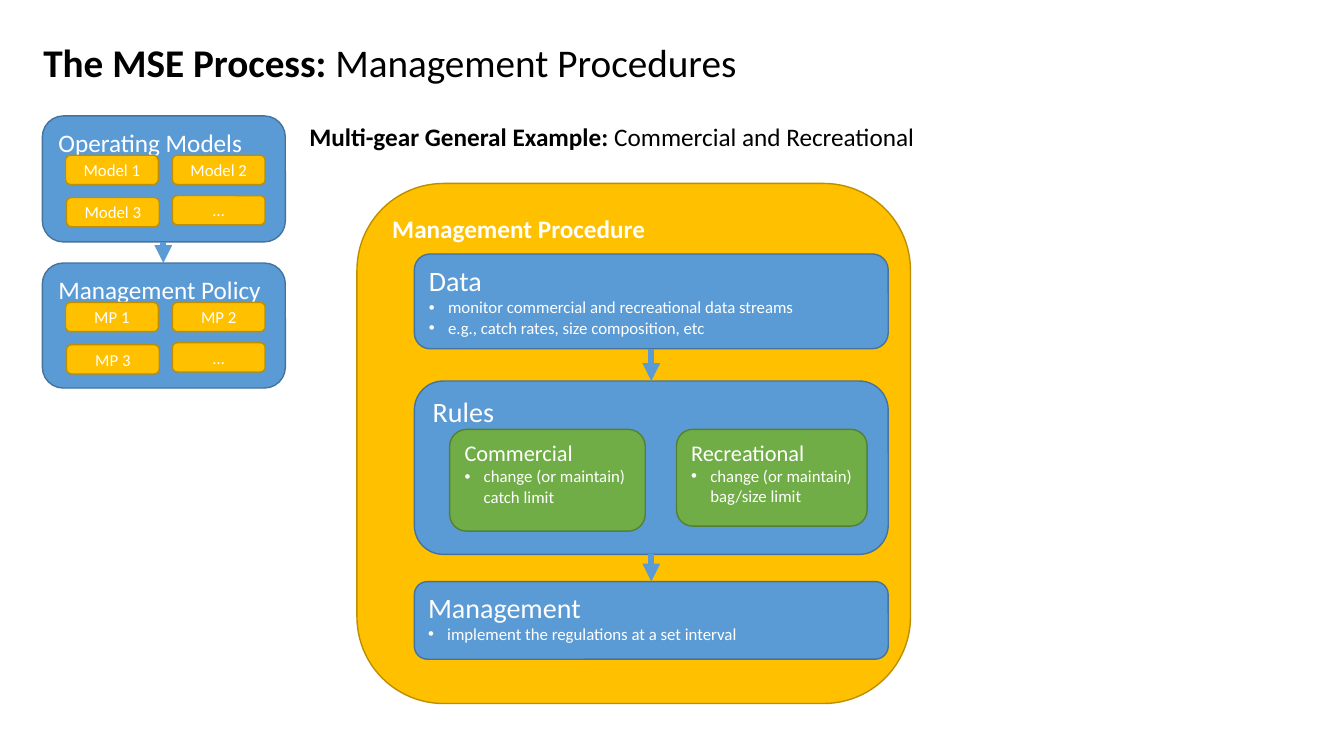
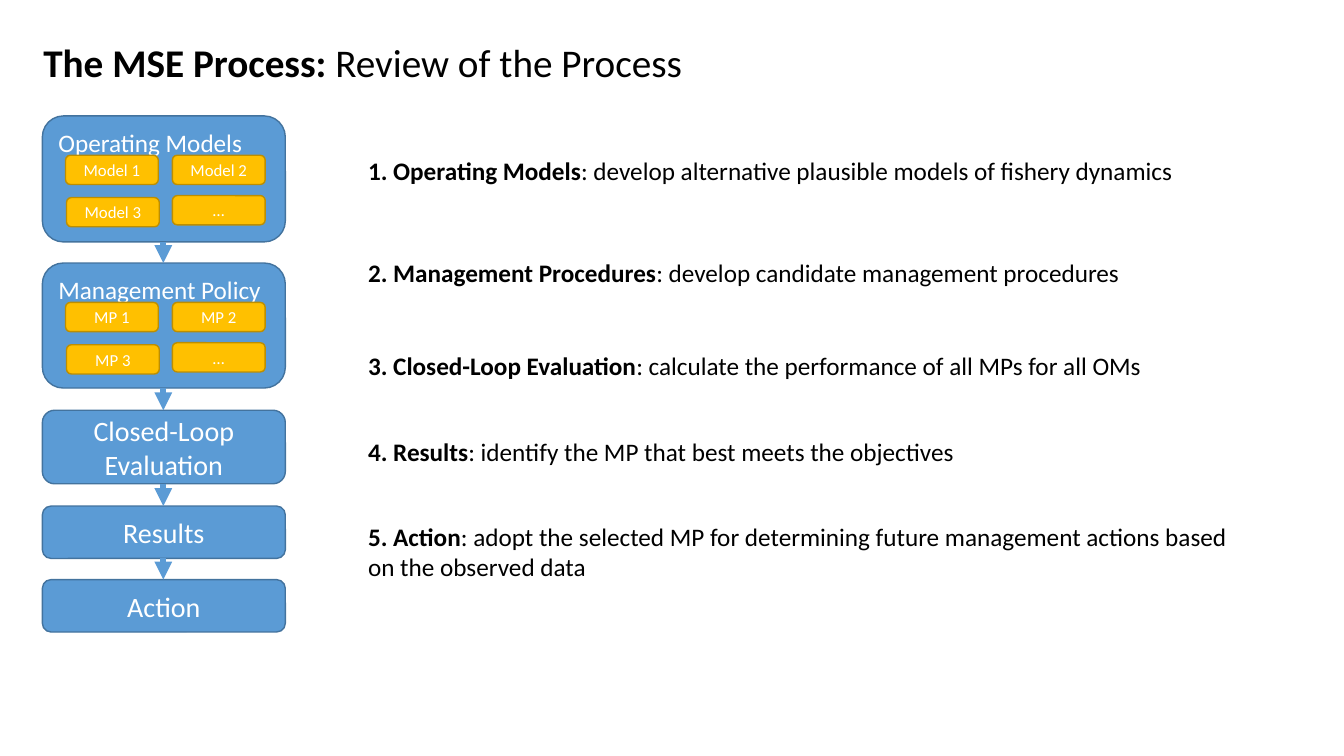
from dataclasses import dataclass
from itertools import pairwise
from typing import NamedTuple

from lxml import etree
from pptx import Presentation
from pptx import slide as sl
from pptx.dml import color
from pptx.enum import shapes, text
from pptx.oxml import ns
from pptx.shapes import autoshape, shapetree
from pptx.text import text as tx
from pptx.util import Inches, Pt

FONT = "Calibri"
COLORS = {
    "black": "000000", "white": "FFFFFF",
    "blue": "5B9BD5", "blue_line": "43739E",
    "gold": "FFC000", "gold_line": "BD8E00",
    "green": "70AD47", "green_line": "538035",
}
TITLE_ONLY, TITLE_AND_CONTENT = 5, 1
PANEL_LEFT, PANEL_WIDTH = 0.42, 2.41
FLOW_X, PROCEDURE_X = 1.62, 6.46
TILE_WIDTH, TILE_HEIGHT = 0.92, 0.29
TILE_OFFSETS = ((0.23, 0.39), (1.29, 0.39), (0.24, 0.81), (1.29, 0.79))
BODY_SIZE = 18
LINE_HEIGHT = 0.305


class Area(NamedTuple):
    left: float
    top: float
    width: float
    height: float

    @property
    def bottom(self) -> float:
        return self.top + self.height


@dataclass(frozen=True)
class Box:
    area: Area
    heading: str
    size: int = 20
    tone: str = "blue"
    bold: bool = False
    centered: bool = False
    bullets: tuple[str, ...] = ()


@dataclass(frozen=True)
class Panel:
    area: Area
    heading: str
    tiles: tuple[str, ...]


class Step(NamedTuple):
    top: float
    name: str
    description: str


PANELS = (
    Panel(Area(PANEL_LEFT, 1.15, PANEL_WIDTH, 1.25), "Operating Models",
          ("Model 1", "Model 2", "Model 3", "…")),
    Panel(Area(PANEL_LEFT, 2.61, PANEL_WIDTH, 1.24), "Management Policy",
          ("MP 1", "MP 2", "MP 3", "…")),
)
PROCEDURE = Box(Area(3.54, 1.82, 5.49, 5.16), "Management Procedure",
                size=18, tone="gold", bold=True)
PROCEDURE_STAGES = (
    Box(Area(4.11, 2.52, 4.7, 0.94), "Data", bullets=(
        "monitor commercial and recreational data streams",
        "e.g., catch rates, size composition, etc")),
    Box(Area(4.11, 3.78, 4.7, 1.72), "Rules"),
    Box(Area(4.11, 5.77, 4.7, 0.77), "Management",
        bullets=("implement the regulations at a set interval",)),
)
RULES = (
    Box(Area(4.46, 4.26, 1.94, 1.01), "Commercial", size=16, tone="green",
        bullets=("change (or maintain) catch limit",)),
    Box(Area(6.71, 4.26, 1.89, 0.96), "Recreational", size=16, tone="green",
        bullets=("change (or maintain) bag/size limit",)),
)
FINAL_STAGES = (
    Box(Area(PANEL_LEFT, 4.07, PANEL_WIDTH, 0.73), "Closed-Loop Evaluation", centered=True),
    Box(Area(PANEL_LEFT, 5.02, PANEL_WIDTH, 0.52), "Results", centered=True),
    Box(Area(PANEL_LEFT, 5.75, PANEL_WIDTH, 0.52), "Action", centered=True),
)
STEPS = (
    Step(1.49, "1. Operating Models",
         ": develop alternative plausible models of fishery dynamics"),
    Step(2.51, "2. Management Procedures", ": develop candidate management procedures"),
    Step(3.43, "3. Closed-Loop Evaluation",
         ": calculate the performance of all MPs for all OMs"),
    Step(4.29, "4. Results", ": identify the MP that best meets the objectives"),
    Step(5.14, "5. Action", ": adopt the selected MP for determining future management "
         "actions based on the observed data"),
)


def rgb(name: str) -> color.RGBColor:
    return color.RGBColor.from_string(COLORS[name])


def place(shape: autoshape.Shape, area: Area) -> None:
    shape.left, shape.top, shape.width, shape.height = map(Inches, area)


def add_run(paragraph: tx._Paragraph, words: str, size: float,
            tone: str = "black", bold: bool = False) -> None:
    run = paragraph.add_run()
    run.text = words
    run.font.name = FONT
    run.font.size = Pt(size)
    run.font.bold = bold
    run.font.color.rgb = rgb(tone)


def add_lead(paragraph: tx._Paragraph, lead: str, rest: str, size: float) -> None:
    add_run(paragraph, lead, size, bold=True)
    add_run(paragraph, rest, size)


def set_bullet(paragraph: tx._Paragraph, character: str = "") -> None:
    properties = paragraph._p.get_or_add_pPr()
    indent = Inches(0.19) if character else 0
    properties.set("marL", str(indent))
    properties.set("indent", str(-indent))
    if character:
        etree.SubElement(properties, ns.qn("a:buFont"), typeface="Arial")
        etree.SubElement(properties, ns.qn("a:buChar"), char=character)
    else:
        etree.SubElement(properties, ns.qn("a:buNone"))


def add_box(container: shapetree.SlideShapes | shapetree.GroupShapes, box: Box) -> None:
    shape = container.add_shape(shapes.MSO_SHAPE.ROUNDED_RECTANGLE, *map(Inches, box.area))
    shape.shadow.inherit = False
    shape.fill.solid()
    shape.fill.fore_color.rgb = rgb(box.tone)
    shape.line.color.rgb = rgb(f"{box.tone}_line")
    shape.line.width = Pt(1)
    frame = shape.text_frame
    frame.word_wrap = True
    frame.vertical_anchor = text.MSO_ANCHOR.MIDDLE if box.centered else text.MSO_ANCHOR.TOP
    heading = frame.paragraphs[0]
    heading.alignment = text.PP_ALIGN.CENTER if box.centered else text.PP_ALIGN.LEFT
    add_run(heading, box.heading, box.size, "white", box.bold)
    for bullet in box.bullets:
        paragraph = frame.add_paragraph()
        paragraph.alignment = text.PP_ALIGN.LEFT
        set_bullet(paragraph, "•")
        add_run(paragraph, bullet, 12, "white")


def add_panel(slide: sl.Slide, panel: Panel) -> None:
    group = slide.shapes.add_group_shape()
    add_box(group.shapes, Box(panel.area, panel.heading, size=18))
    for words, (across, down) in zip(panel.tiles, TILE_OFFSETS):
        tile = Area(panel.area.left + across, panel.area.top + down, TILE_WIDTH, TILE_HEIGHT)
        add_box(group.shapes, Box(tile, words, size=12, tone="gold", centered=True))


def add_arrows(slide: sl.Slide, x: float, areas: list[Area]) -> None:
    for upper, lower in pairwise(areas):
        arrow = slide.shapes.add_connector(
            shapes.MSO_CONNECTOR.STRAIGHT,
            *map(Inches, (x, upper.bottom, x, lower.top)))
        arrow.line.color.rgb = rgb("blue")
        arrow.line.width = Pt(4.25)
        etree.SubElement(arrow.line._get_or_add_ln(), ns.qn("a:tailEnd"), type="triangle")
        etree.SubElement(arrow._element.spPr, ns.qn("a:effectLst"))


def add_process_slide(presentation: Presentation, layout: int, topic: str) -> sl.Slide:
    slide = presentation.slides.add_slide(presentation.slide_layouts[layout])
    title = slide.shapes.title
    place(title, Area(0.33, 0.33, 12.32, 0.57))
    frame = title.text_frame
    frame.vertical_anchor = text.MSO_ANCHOR.TOP
    frame.auto_size = text.MSO_AUTO_SIZE.SHAPE_TO_FIT_TEXT
    paragraph = frame.paragraphs[0]
    paragraph.alignment = text.PP_ALIGN.LEFT
    add_lead(paragraph, "The MSE Process: ", topic, 28)
    for panel in PANELS:
        add_panel(slide, panel)
    return slide


def add_steps(slide: sl.Slide) -> None:
    body = slide.placeholders[1]
    place(body, Area(3.55, STEPS[0].top, 9.02, 4.36))
    frame = body.text_frame
    frame.auto_size = text.MSO_AUTO_SIZE.NONE
    previous_top = STEPS[0].top - LINE_HEIGHT
    for index, step in enumerate(STEPS):
        paragraph = frame.add_paragraph() if index else frame.paragraphs[0]
        gap = step.top - previous_top - LINE_HEIGHT
        paragraph.space_before = Pt(round(gap * 72, 1))
        set_bullet(paragraph)
        add_lead(paragraph, step.name, step.description, BODY_SIZE)
        previous_top = step.top


def build_procedures(presentation: Presentation) -> None:
    slide = add_process_slide(presentation, TITLE_ONLY, "Management Procedures")
    add_arrows(slide, FLOW_X, [panel.area for panel in PANELS])
    for box in (PROCEDURE, *PROCEDURE_STAGES, *RULES):
        add_box(slide.shapes, box)
    add_arrows(slide, PROCEDURE_X, [stage.area for stage in PROCEDURE_STAGES])
    example = slide.shapes.add_textbox(*map(Inches, (2.97, 1.15, 6.34, 0.4)))
    example.text_frame.word_wrap = True
    example.text_frame.auto_size = text.MSO_AUTO_SIZE.SHAPE_TO_FIT_TEXT
    paragraph = example.text_frame.paragraphs[0]
    paragraph.space_before = paragraph.space_after = Pt(6)
    add_lead(paragraph, "Multi-gear General Example: ", "Commercial and Recreational", BODY_SIZE)


def build_review(presentation: Presentation) -> None:
    slide = add_process_slide(presentation, TITLE_AND_CONTENT, "Review of the Process")
    for stage in FINAL_STAGES:
        add_box(slide.shapes, stage)
    add_arrows(slide, FLOW_X, [stage.area for stage in (*PANELS, *FINAL_STAGES)])
    add_steps(slide)


def main() -> None:
    presentation = Presentation()
    presentation.slide_width = Inches(13.33)
    presentation.slide_height = Inches(7.5)
    build_procedures(presentation)
    build_review(presentation)
    presentation.save("out.pptx")


if __name__ == "__main__":
    main()
